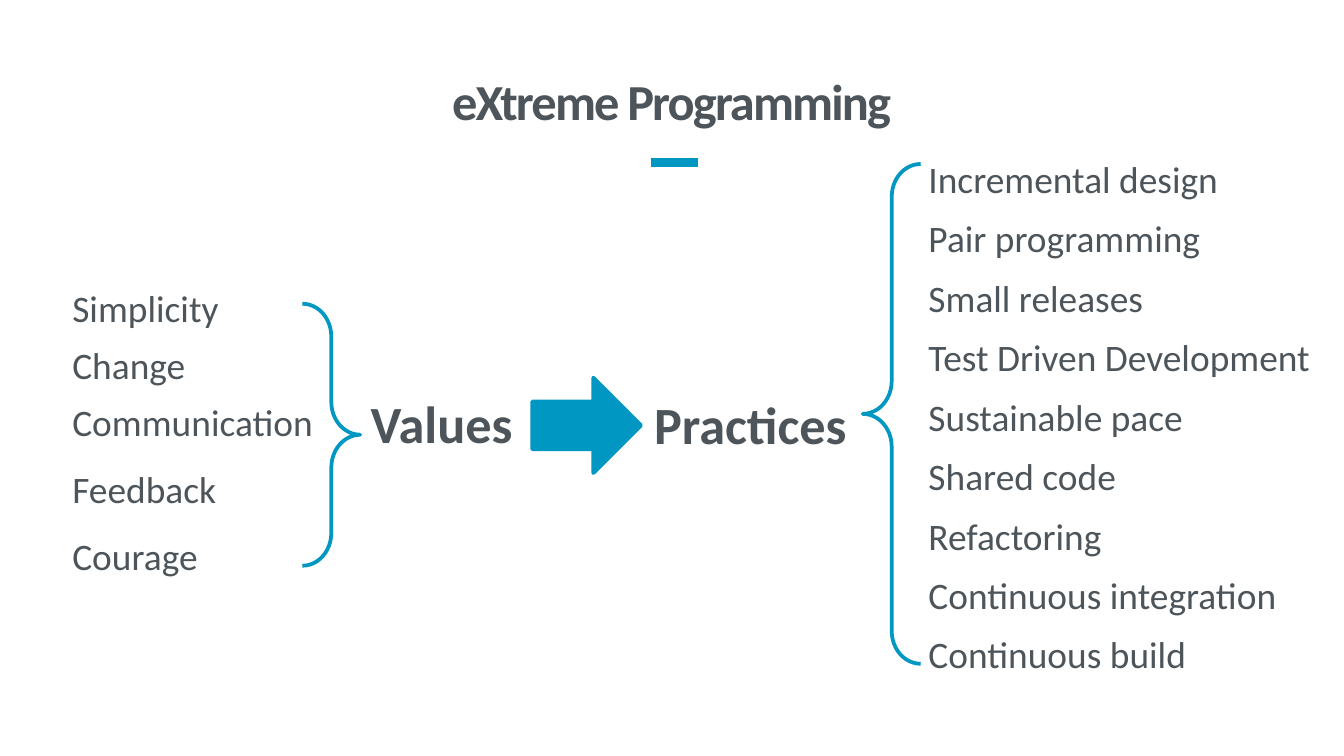
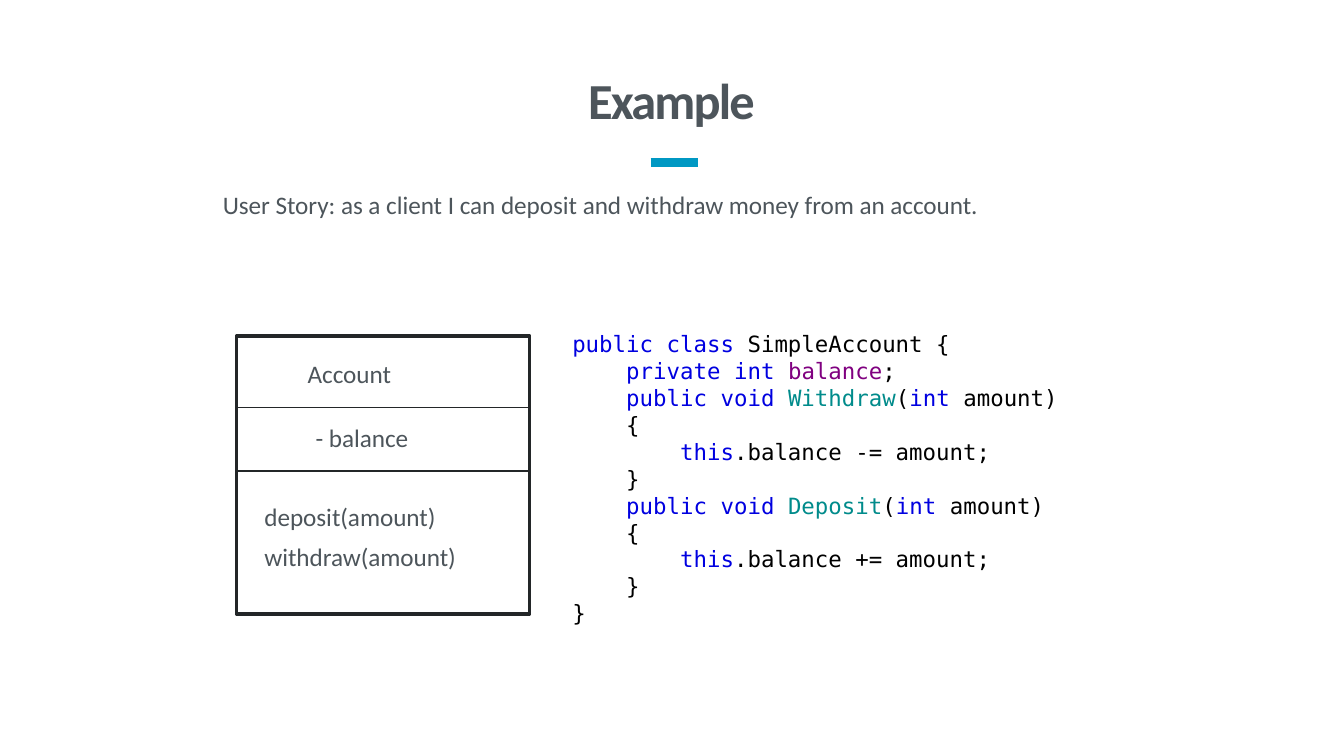
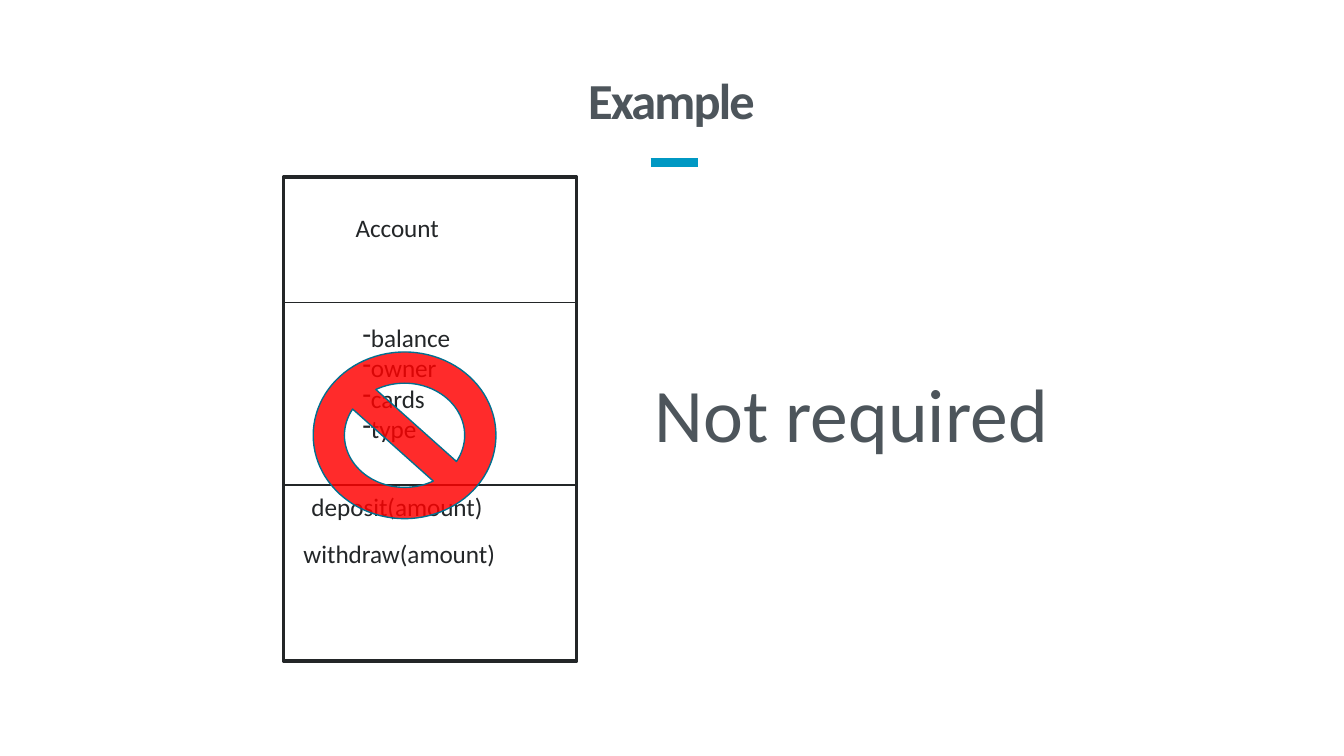
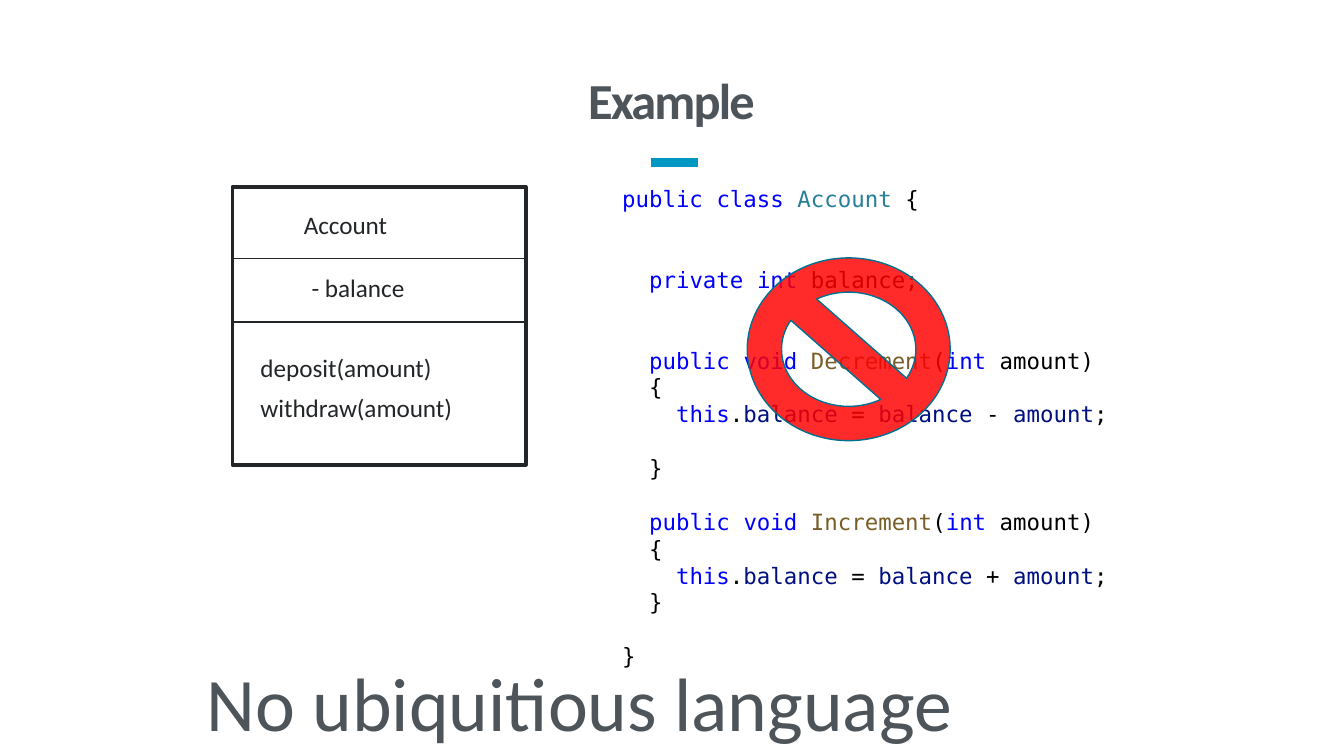
from itertools import groupby

from lxml.etree import SubElement
from pptx import Presentation
from pptx.dml.color import RGBColor
from pptx.enum.shapes import MSO_CONNECTOR, MSO_SHAPE
from pptx.enum.text import MSO_ANCHOR, PP_ALIGN
from pptx.oxml.ns import qn
from pptx.util import Pt

COLOURS = {
    "accent": "0098C3", "text": "4D555B", "ink": "232628", "white": "FFFFFF",
    "black": "000000", "ban": "FF0000", "ban edge": "007090",
    "keyword": "0000E0", "field": "800080", "method": "008B8B",
    "bright keyword": "0000FF", "type": "267F99", "function": "795E26",
    "variable": "001080",
}
BODY_FONT, CODE_FONT = "Calibri", "DejaVu Sans Mono"
KEYWORDS = {"public", "private", "class", "int", "void", "this"}

# Content: value and its top
VALUES = [("Simplicity", 149), ("Change", 180), ("Communication", 210.2),
          ("Feedback", 246.2), ("Courage", 282.2)]
PRACTICES = ["Incremental design", "Pair programming", "Small releases",
             "Test Driven Development", "Sustainable pace", "Shared code",
             "Refactoring", "Continuous integration", "Continuous build"]
PRACTICES_TOP, PRACTICES_STEP = 79.9, 31.87

USER_STORY = "User Story: as a client I can deposit and withdraw money from an account."

# Class diagrams: parts are placed from the frame's top left corner
SIMPLE_CLASS = {
    "height": 149, "dividers": [38.3, 72.4],
    "labels": [("Account", 31.1, 8.6), ("- balance", 35.3, 42.5),
               ("deposit(amount)", 7.9, 85), ("withdraw(amount)", 7.9, 106.6)],
    "attributes": [],
}
OVERDONE_CLASS = {
    "height": 259.2, "dividers": [67, 164.9],
    "labels": [("Account", 31.5, 15.1), ("deposit(amount)", 7.9, 164.9),
               ("withdraw(amount)", 3.6, 190.1)],
    "attributes": ["balance", "owner", "cards", "type"],
}

# Code lines, each with the colours of its words other than keywords
SIMPLE_CODE = [
    ("public class SimpleAccount {", {}),
    ("    private int balance;", {"balance": "field"}),
    ("    public void Withdraw(int amount)", {"Withdraw": "method"}),
    ("    {", {}),
    ("        this.balance -= amount;", {}),
    ("    }", {}),
    ("    public void Deposit(int amount)", {"Deposit": "method"}),
    ("    {", {}),
    ("        this.balance += amount;", {}),
    ("    }", {}),
    ("}", {}),
]
OPERANDS = {"balance": "variable", "amount": "variable"}
VAGUE_CODE = [
    ("public class Account {", {"Account": "type"}),
    ("", {}),
    ("", {}),
    ("  private int balance;", {}),
    ("", {}),
    ("", {}),
    ("  public void Decrement(int amount)", {"Decrement": "function"}),
    ("  {", {}),
    ("    this.balance = balance - amount;", OPERANDS),
    ("", {}),
    ("  }", {}),
    ("", {}),
    ("  public void Increment(int amount)", {"Increment": "function"}),
    ("  {", {}),
    ("    this.balance = balance + amount;", OPERANDS),
    ("  }", {}),
    ("", {}),
    ("}", {}),
]


def rgb(name):
    return RGBColor.from_string(COLOURS[name])


def set_font(paragraph, size, colour="text", bold=False, face=BODY_FONT):
    font = paragraph.font
    font.name, font.size, font.bold = face, Pt(size), bold
    font.color.rgb = rgb(colour)


def add_frame(shapes, left, top, width, height, wrap=True):
    frame = shapes.add_textbox(Pt(left), Pt(top), Pt(width), Pt(height)).text_frame
    frame.word_wrap = wrap
    return frame


def add_label(shapes, text, left, top, width, height, size,
              colour="text", bold=False, align=PP_ALIGN.LEFT):
    paragraph = add_frame(shapes, left, top, width, height).paragraphs[0]
    paragraph.add_run().text = text
    paragraph.alignment = align
    set_font(paragraph, size, colour, bold)


def add_line(shapes, left, right, y, colour, weight):
    line = shapes.add_connector(MSO_CONNECTOR.STRAIGHT, Pt(left), Pt(y), Pt(right), Pt(y))
    line.line.color.rgb = rgb(colour)
    line.line.width = Pt(weight)
    SubElement(line._element.spPr, qn("a:effectLst"))


def add_figure(shapes, kind, left, top, width, height, fill, edge, weight=2):
    figure = shapes.add_shape(kind, Pt(left), Pt(top), Pt(width), Pt(height))
    figure.shadow.inherit = False
    if fill:
        figure.fill.solid()
        figure.fill.fore_color.rgb = rgb(fill)
    else:
        figure.fill.background()
    figure.line.color.rgb = rgb(edge)
    figure.line.width = Pt(weight)
    return figure


def add_brace(shapes, left, top, height, rotation=0):
    brace = add_figure(shapes, MSO_SHAPE.RIGHT_BRACE, left, top, 31, height, None, "accent")
    brace.adjustments[0], brace.adjustments[1] = 0.568, 0.5
    brace.rotation = rotation


def add_ban(shapes, left, top, width, height):
    """Add the translucent red 'no' sign."""
    ban = add_figure(shapes, MSO_SHAPE.NO_SYMBOL, left, top, width, height,
                     "ban", "ban edge", 0)
    fill = ban._element.spPr.find(qn("a:solidFill"))
    SubElement(fill[0], qn("a:alpha"), val="83000")


def add_class(slide, diagram, left, top, colour):
    shapes = slide.shapes.add_group_shape().shapes
    width = 157
    add_figure(shapes, MSO_SHAPE.RECTANGLE, left, top, width, diagram["height"],
               "white", "ink")
    for y in diagram["dividers"]:
        add_line(shapes, left, left + width, top + y, "ink", 0.75)
    for text, x, y in diagram["labels"]:
        add_label(shapes, text, left + x, top + y, 141, 23.8, 13.5, colour)
    if diagram["attributes"]:
        frame = add_frame(shapes, left + 35.3, top + 74.2, 62, 72.7, wrap=False)
        for i, attribute in enumerate(diagram["attributes"]):
            paragraph = frame.add_paragraph() if i else frame.paragraphs[0]
            paragraph.add_run().text = attribute
            properties = paragraph._p.get_or_add_pPr()
            properties.set("marL", "0")
            properties.set("indent", "0")
            SubElement(properties, qn("a:buChar"), char="-")
            set_font(paragraph, 13.5, colour)


def add_code(slide, lines, keyword, left, top, width, height):
    """Write code lines, with runs split where the colour changes."""
    frame = add_frame(slide.shapes, left, top, width, height)
    paragraph = frame.paragraphs[0]
    set_font(paragraph, 12, "black", face=CODE_FONT)
    for i, (line, names) in enumerate(lines):
        if i:
            paragraph.add_line_break()
        palette = {**dict.fromkeys(KEYWORDS, keyword), **names}
        words = ["".join(part) for _, part in groupby(line, str.isalnum)]
        for colour, part in groupby(words, lambda word: palette.get(word, "black")):
            run = paragraph.add_run()
            run.text = "".join(part)
            run.font.color.rgb = rgb(colour)
    return frame


def add_slide(deck, title, bottom_inset=3.6):
    """Add a slide with the shared title and accent bar."""
    slide = deck.slides.add_slide(deck.slide_layouts[6])
    add_line(slide.shapes, 348.5, 373.7, 87, "accent", 4.5)
    frame = add_frame(slide.shapes, 31, 15.1, 657.4, 57.6)
    frame.vertical_anchor = MSO_ANCHOR.BOTTOM
    frame.margin_bottom = Pt(bottom_inset)
    paragraph = frame.paragraphs[0]
    paragraph.alignment = PP_ALIGN.CENTER
    paragraph.line_spacing = 0.8
    run = paragraph.add_run()
    run.text = title
    run._r.get_or_add_rPr().set("spc", "-100")
    set_font(paragraph, 27, bold=True)
    return slide


def build_programming(deck):
    shapes = add_slide(deck, "eXtreme Programming", bottom_inset=2.9).shapes
    for value, top in VALUES:
        add_label(shapes, value, 31.7, top, 147, 34, 20)
    for i, practice in enumerate(PRACTICES):
        add_label(shapes, practice, 490.3, PRACTICES_TOP + i * PRACTICES_STEP, 222.5, 28, 20)
    add_label(shapes, "Values", 191.5, 205.9, 95, 38.9, 28, bold=True)
    add_label(shapes, "Practices", 343.4, 206.6, 118, 38.9, 28, bold=True)
    add_figure(shapes, MSO_SHAPE.RIGHT_ARROW, 285.1, 202.3, 58.3, 51.1, "accent", "accent")
    add_brace(shapes, 162, 162.7, 140.4)
    add_brace(shapes, 462.2, 87.8, 267.8, rotation=180)


def build_example(deck):
    slide = add_slide(deck, "Example")
    add_class(slide, SIMPLE_CLASS, 126.7, 180, "text")
    add_label(slide.shapes, USER_STORY, 112.3, 97.9, 494.6, 23.8, 13.5)
    code = add_code(slide, SIMPLE_CODE, "keyword", 299.5, 172.1, 327.6, 200.9)
    code.margin_top = Pt(5)


def build_not_required(deck):
    slide = add_slide(deck, "Example")
    add_class(slide, OVERDONE_CLASS, 151.9, 95, "ink")
    add_ban(slide.shapes, 167.8, 188.6, 97.9, 89.3)
    add_label(slide.shapes, "Not required", 305.3, 193, 301.7, 88.6, 40.5,
              align=PP_ALIGN.CENTER)


def build_no_language(deck):
    slide = add_slide(deck, "Example")
    add_code(slide, VAGUE_CODE, "bright keyword", 326.2, 95.8, 347, 269.3)
    add_ban(slide.shapes, 400.3, 138.2, 108.7, 97.9)
    add_label(slide.shapes, "No ubiquitious language", 65.5, 347.8, 490.3, 67.7, 40.5,
              align=PP_ALIGN.CENTER)
    add_class(slide, SIMPLE_CLASS, 124.6, 100.1, "ink")


def main():
    deck = Presentation()
    deck.slide_width, deck.slide_height = Pt(720), Pt(405)
    for build in (build_programming, build_example, build_not_required, build_no_language):
        build(deck)
    deck.save("out.pptx")


if __name__ == "__main__":
    main()
